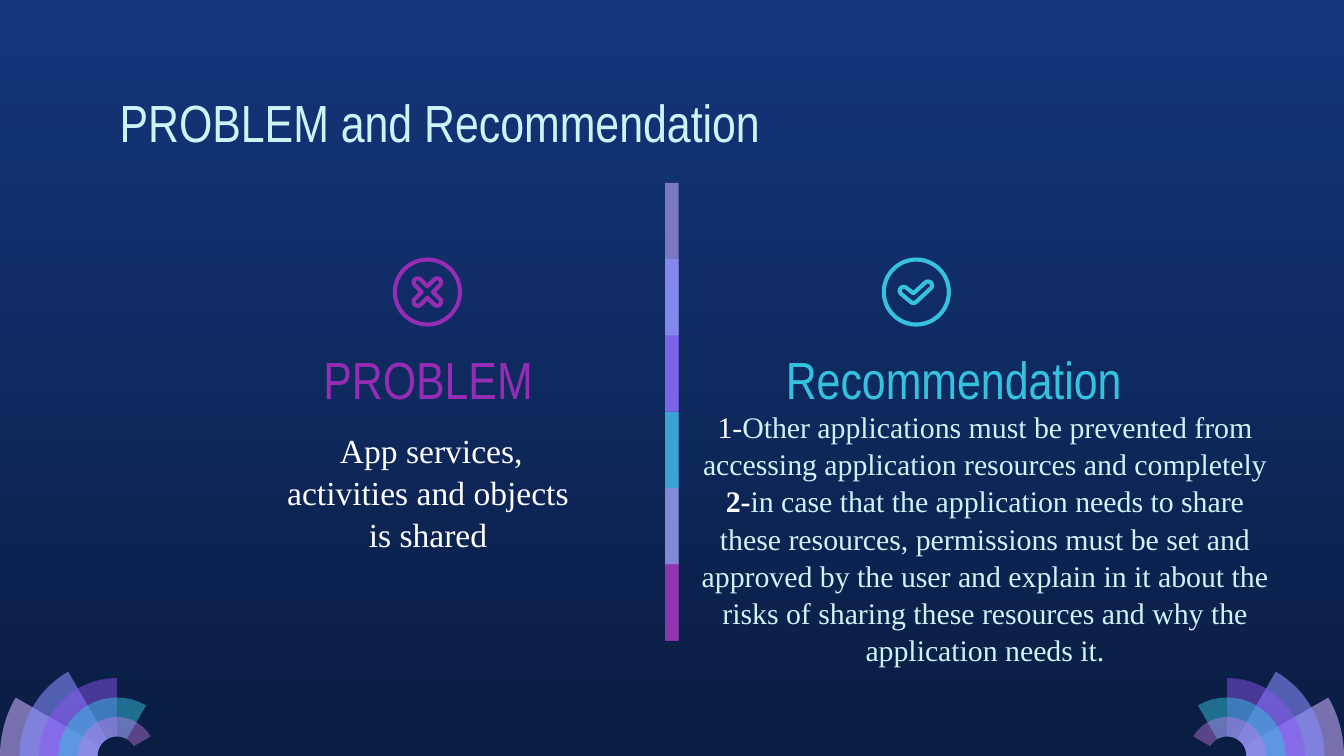
import math

import lxml.etree
import pptx
import pptx.dml.color
import pptx.enum.shapes
import pptx.enum.text
import pptx.oxml.ns
import pptx.util

THEME = {
    "top": "13367C", "bottom": "0A1D42",
    "lilac": "C8ACFD", "periwinkle": "878FFF", "violet": "9154F8",
    "cyan": "35C2DF", "orchid": "CA7BEB", "purple": "972CB4",
    "ice": "CEF3F5", "white": "FFFFFF",
    "heading font": "Arial Narrow", "body font": "Times New Roman",
    "heading size": 28, "problem size": 18, "advice size": 16,
    "icon line": 2.2, "body spacing": 1.04,
}

presentation = pptx.Presentation()
presentation.slide_width = pptx.util.Inches(10)
presentation.slide_height = pptx.util.Inches(5.625)
CELL = presentation.slide_width / 100  # square grid, 100 columns by 56.25 rows
COLUMNS, ROWS = 100, 56.25

slide = presentation.slides.add_slide(presentation.slide_layouts[5])
shapes = slide.shapes


def color(name):
    return pptx.dml.color.RGBColor.from_string(THEME[name])


def arc(x, y, radius, start, stop, steps=16):
    """Points on a circle in grid cells; degrees run counter-clockwise from the right."""
    angles = [math.radians(start + (stop - start) * i / steps) for i in range(steps + 1)]
    return [(x + radius * math.cos(a), y - radius * math.sin(a)) for a in angles]


# Background
background = slide.background.fill
background.gradient()
background.gradient_angle = 270
for stop, name in zip(background.gradient_stops, ("top", "bottom")):
    stop.color.rgb = color(name)

# Corner fans: rings that step inwards while each sweeps 30 degrees further
fan_bands = [("lilac", 58), ("periwinkle", 58), ("violet", 46), ("cyan", 49), ("orchid", 42)]
RING = 1.45
translucent = []
for mirrored in (False, True):
    center = COLUMNS - 6 * RING if mirrored else 6 * RING
    for index, (name, alpha) in enumerate(fan_bands):
        start, stop = 180, 150 - 30 * index
        if mirrored:
            start, stop = 180 - start, 180 - stop
        outline = (arc(center, ROWS, RING * (6 - index), start, stop)
                   + arc(center, ROWS, RING, stop, start))
        points = [(round(x * CELL), round(y * CELL)) for x, y in outline]
        builder = shapes.build_freeform(*points[0])
        builder.add_line_segments(points[1:])
        translucent.append((builder.convert_to_shape(), name, alpha))

# Divider: each bar starts one step lower and is covered by the next
divider_bars = [("lilac", 59), ("periwinkle", 74), ("violet", 53),
                ("cyan", 76), ("orchid", 56), ("purple", 74)]
STEP = 5.68
for index, (name, alpha) in enumerate(divider_bars):
    height = STEP if index == len(divider_bars) - 1 else 2 * STEP
    bounds = [round(n * CELL) for n in (49.5, 13.6 + STEP * index, 1, height)]
    bar = shapes.add_shape(pptx.enum.shapes.MSO_SHAPE.RECTANGLE, *bounds)
    translucent.append((bar, name, alpha))

for shape, name, alpha in translucent:
    shape.shadow.inherit = False
    shape.line.fill.background()
    shape.fill.solid()
    shape.fill.fore_color.rgb = color(name)
    color_element = shape.fill._xPr.find(".//" + pptx.oxml.ns.qn("a:srgbClr"))
    lxml.etree.SubElement(color_element, pptx.oxml.ns.qn("a:alpha"), val=str(alpha * 1000))

# Icons: a ring around a cross or a check mark with rounded arms
ARM = 0.3
ICON_Y = 21.73
CROSS_X, CHECK_X = 31.8, 68.18
cross = []
for direction in (45, 135, 225, 315):
    end_x, end_y = arc(CROSS_X, ICON_Y, 1.02, direction, direction, 1)[0]
    cross += arc(end_x, end_y, ARM, direction - 90, direction + 90)
    cross += arc(CROSS_X, ICON_Y, ARM * math.sqrt(2), direction + 45, direction + 45, 1)[:1]
check = (arc(69.05, 21.25, ARM, -45, 135) + [(67.97, 21.83)]
         + arc(67.25, 21.65, ARM, 45, 225) + arc(67.97, 22.25, ARM, 225, 315))

for center, mark, name in [(CHECK_X, check, "cyan"), (CROSS_X, cross, "purple")]:
    bounds = [round(n * CELL) for n in (center - 2.42, ICON_Y - 2.42, 4.84, 4.84)]
    ring = shapes.add_shape(pptx.enum.shapes.MSO_SHAPE.OVAL, *bounds)
    points = [(round(x * CELL), round(y * CELL)) for x, y in mark]
    builder = shapes.build_freeform(*points[0])
    builder.add_line_segments(points[1:])
    for shape in (ring, builder.convert_to_shape()):
        shape.shadow.inherit = False
        shape.fill.background()
        shape.line.color.rgb = color(name)
        shape.line.width = pptx.util.Pt(THEME["icon line"])

# Texts: shape, bounds in cells, kind, size, paragraphs of (text, colour, bold)
texts = [
    (shapes.title, (7.9, 5.9, 84.3, 6.3), "heading", "heading size",
     [[("PROBLEM and Recommendation", "ice", False)]]),
    (None, (20.1, 25, 23.5, 6.3), "heading", "heading size",
     [[("PROBLEM", "purple", False)]]),
    (None, (56.5, 25, 28.9, 6.3), "heading", "heading size",
     [[("Recommendation", "cyan", False)]]),
    (None, (20.1, 30.9, 23.5, 11.2), "body", "problem size",
     [[(" App services, activities and objects is shared", "white", False)]]),
    (None, (50.8, 29.3, 45, 11.2), "body", "advice size",
     [[("1-", "white", False),
       ("Other applications must be prevented from accessing application resources "
        "and completely", "ice", False)],
      [("2-", "white", True),
       ("in case that the application needs to share these resources, permissions must "
        "be set and approved by the user and explain in it about the risks of sharing "
        "these resources and why the application needs it.", "ice", False)]]),
]
for box, cells, kind, size, paragraphs in texts:
    bounds = [round(n * CELL) for n in cells]
    is_title = box is not None
    box = box if is_title else shapes.add_textbox(*bounds)
    for attribute, value in zip(("left", "top", "width", "height"), bounds):
        setattr(box, attribute, value)
    anchors = pptx.enum.text.MSO_ANCHOR
    frame_format = {
        "word_wrap": True,
        "auto_size": pptx.enum.text.MSO_AUTO_SIZE.NONE,
        "vertical_anchor": anchors.MIDDLE if kind == "heading" else anchors.TOP,
        **{f"margin_{side}": round(CELL) for side in ("left", "top", "right", "bottom")},
    }
    for attribute, value in frame_format.items():
        setattr(box.text_frame, attribute, value)
    for index, runs in enumerate(paragraphs):
        paragraph = box.text_frame.add_paragraph() if index else box.text_frame.paragraphs[0]
        alignments = pptx.enum.text.PP_ALIGN
        paragraph.alignment = alignments.LEFT if is_title else alignments.CENTER
        paragraph.line_spacing = THEME["body spacing"] if kind == "body" else 1.0
        for text, name, bold in runs:
            run = paragraph.add_run()
            run.text = text
            run.font.color.rgb = color(name)
            font_format = {"name": THEME[kind + " font"], "bold": bold,
                           "size": pptx.util.Pt(THEME[size])}
            for attribute, value in font_format.items():
                setattr(run.font, attribute, value)

presentation.save("out.pptx")
